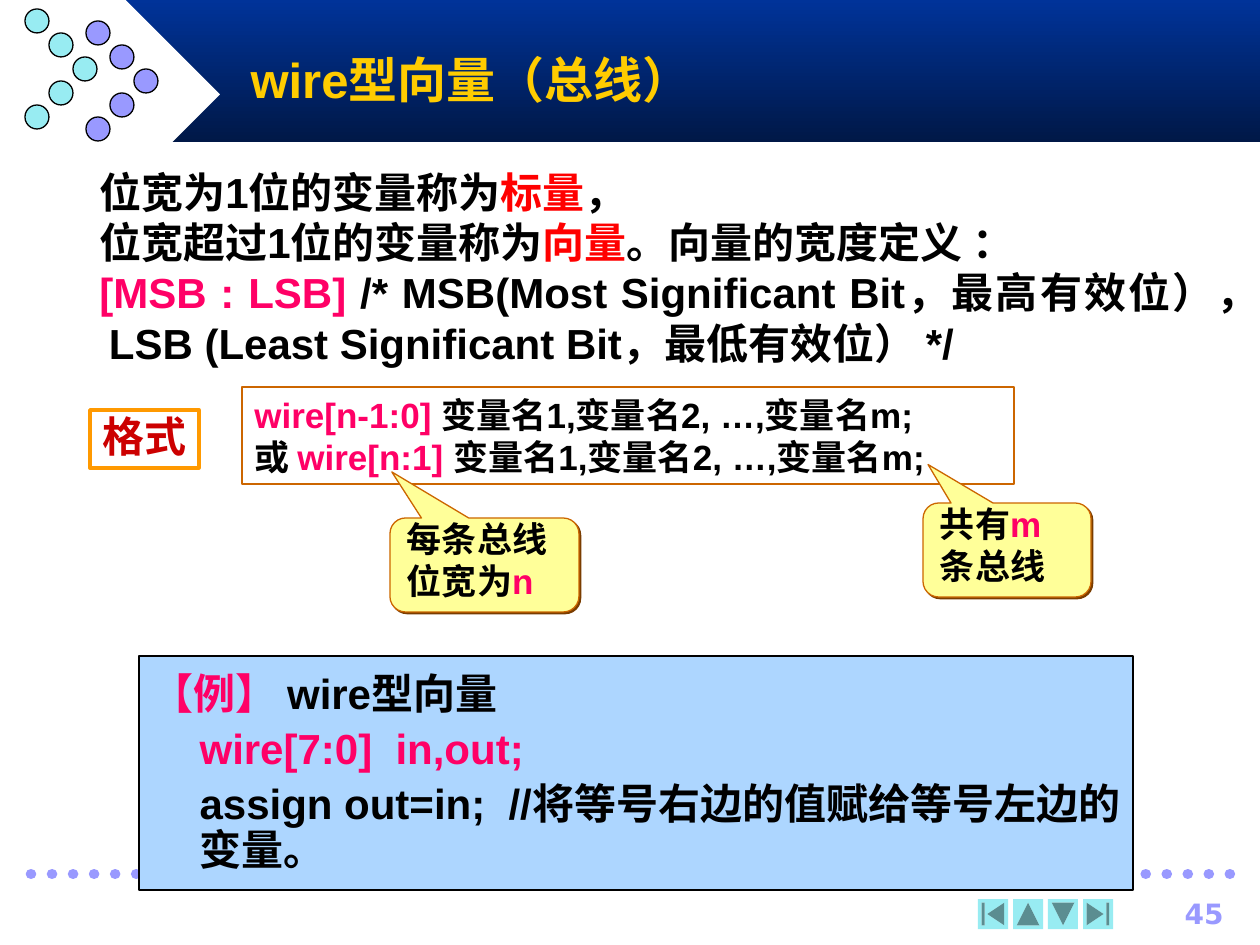
from lxml.etree import SubElement
from pptx import Presentation
from pptx.dml.color import RGBColor
from pptx.enum.dml import MSO_LINE
from pptx.enum.shapes import MSO_CONNECTOR, MSO_SHAPE as Preset
from pptx.enum.text import MSO_ANCHOR as Anchor, MSO_AUTO_SIZE as AutoSize, PP_ALIGN as Align
from pptx.oxml.ns import qn
from pptx.util import Pt

SCALE = 914400 / 126
BLACK, PINK, RED = "000000", "FF0066", "FF0000"
TEAL, VIOLET, ORANGE, YELLOW = "98ECF2", "9999FF", "CC6600", "FFFF99"

TITLE = "wire型向量（总线）"
INTRO = [
    [("位宽为1位的变量称为", BLACK), ("标量", RED), ("，", BLACK)],
    [("位宽超过1位的变量称为", BLACK), ("向量", RED), ("。向量的宽度定义 ：", BLACK)],
    [("[MSB : LSB] ", PINK),
     ("/* MSB(Most Significant Bit，最高有效位）， LSB (Least Significant Bit，最低有效位） */", BLACK)],
]
VARIABLES = ("变量名1,变量名2, …,变量名m;", BLACK)
FORMATS = [
    [("wire[n-1:0] ", PINK), VARIABLES],
    [("或 ", BLACK), ("wire[n:1] ", PINK), VARIABLES],
]
CALLOUTS = [
    ((390, 518, 189, 94), (-0.49, -0.99), [("每条总线位宽为", BLACK), ("n", PINK)]),
    ((923, 503, 168, 94), (-0.47, -0.91), [("共有", BLACK), ("m", PINK), ("条总线", BLACK)]),
]
EXAMPLE = [
    ([("【例】 ", PINK, "Times New Roman"), ("wire型向量", BLACK)],
     dict(align=Align.JUSTIFY, spacing=1.1, indent=-48)),
    ([("wire[7:0]  in,out;", PINK)], dict(align=Align.JUSTIFY, spacing=1.1)),
    ([("assign out=in;  //将等号右边的值赋给等号左边的变量。", BLACK)],
     dict(spacing=0.9, before=6)),
]
DOT_CHEVRONS = [(VIOLET, 86, 21), (TEAL, 25, 9)]
DOT_STEPS = [0, 1, 2, 1, 0]
BUTTONS = [
    (Preset.ACTION_BUTTON_BEGINNING, 0),
    (Preset.ACTION_BUTTON_BACK_OR_PREVIOUS, 90),
    (Preset.ACTION_BUTTON_FORWARD_OR_NEXT, 90),
    (Preset.ACTION_BUTTON_END, 0),
]


def px(value):
    return round(value * SCALE)


def color(value):
    return RGBColor.from_string(value)


def place(shape, left, top, width, height):
    shape.left, shape.top, shape.width, shape.height = map(px, (left, top, width, height))


def paint(shape, fill=None, line=None, width=0.75):
    if fill:
        shape.fill.solid()
        shape.fill.fore_color.rgb = color(fill)
    else:
        shape.fill.background()
    if line:
        shape.line.color.rgb = color(line)
        shape.line.width = Pt(width)
    else:
        shape.line.fill.background()


def add_shape(preset, box, **look):
    shape = slide.shapes.add_shape(preset, *map(px, box))
    shape.shadow.inherit = False
    paint(shape, **look)
    return shape


def write(paragraph, runs, size=24, font="Arial", align=Align.LEFT, spacing=1.0,
          before=0, margin=0, indent=0):
    properties = paragraph._p.get_or_add_pPr()
    properties.set("marL", str(px(margin)))
    properties.set("indent", str(px(indent)))
    SubElement(properties, qn("a:buNone"))
    paragraph.alignment = align
    paragraph.line_spacing = spacing
    paragraph.space_before = Pt(before)
    for text, fill, *own_font in runs:
        run = paragraph.add_run()
        run.text = text
        run.font.name = own_font[0] if own_font else font
        run.font.size = Pt(size)
        run.font.bold = True
        run.font.color.rgb = color(fill)


def fill_text(shape, paragraphs, anchor=Anchor.TOP, wrap=True, **text_format):
    frame = shape.text_frame
    frame.auto_size = AutoSize.NONE
    frame.word_wrap = wrap
    frame.vertical_anchor = anchor
    for index, runs in enumerate(paragraphs):
        paragraph = frame.add_paragraph() if index else frame.paragraphs[0]
        write(paragraph, runs, **text_format)


def add_text(box, paragraphs, **text_format):
    fill_text(slide.shapes.add_textbox(*map(px, box)), paragraphs, **text_format)


presentation = Presentation()
presentation.slide_width, presentation.slide_height = px(1260), px(945)
slide = presentation.slides.add_slide(presentation.slide_layouts[1])
title, body = slide.placeholders

banner = add_shape(Preset.RECTANGLE, (126, 0, 1134, 142))
banner.fill.gradient()
banner.fill.gradient_angle = 270
for stop, shade, position in zip(banner.fill.gradient_stops, ("003399", "001847"), (0, 1)):
    stop.color.rgb = color(shade)
    stop.position = position
add_shape(Preset.DIAMOND, (31, 0, 189, 189), fill="FFFFFF")
for shade, left, top in DOT_CHEVRONS:
    for row, step in enumerate(DOT_STEPS):
        add_shape(Preset.OVAL, (left + 24 * step, top + 24 * row, 24, 24), fill=shade, line=BLACK)

dotted_line = slide.shapes.add_connector(MSO_CONNECTOR.STRAIGHT, px(31), px(874), px(1239), px(874))
dotted_line.line.color.rgb = color(VIOLET)
dotted_line.line.width = Pt(6)
dotted_line.line.dash_style = MSO_LINE.ROUND_DOT
dotted_line.line._ln.set("cap", "rnd")
SubElement(dotted_line._element.spPr, qn("a:effectLst"))

for index, (preset, rotation) in enumerate(BUTTONS):
    add_shape(preset, (978 + 35 * index, 899, 30, 30), fill=TEAL).rotation = rotation
add_text((1116, 890, 120, 42), [[("45", VIOLET)]], size=16, font="DejaVu Sans", align=Align.RIGHT)

slide.shapes.element.append(title.element)
place(title, 238, 32, 1071, 93)
fill_text(title, [[(TITLE, "FFCC00")]], size=28, anchor=Anchor.MIDDLE)

format_box = add_shape(Preset.RECTANGLE, (242, 387, 772, 97), line=ORANGE)
fill_text(format_box, FORMATS, size=20, align=Align.JUSTIFY, anchor=Anchor.BOTTOM)

for box, tip, runs in CALLOUTS:
    callout = add_shape(Preset.ROUNDED_RECTANGULAR_CALLOUT, box, fill=YELLOW, line=ORANGE)
    callout.adjustments[0], callout.adjustments[1] = tip
    effects = callout._element.spPr.find(qn("a:effectLst"))
    shadow = SubElement(effects, qn("a:outerShdw"), dist=str(Pt(1.4)), dir="2700000")
    SubElement(shadow, qn("a:srgbClr"), val="7A3D00")
    fill_text(callout, [runs], size=20, anchor=Anchor.BOTTOM)

label = add_shape(Preset.RECTANGLE, (90, 410, 109, 58), line="FF9900", width=2)
fill_text(label, [[("格式", "CC0000")]], font="Noto Sans CJK JP", spacing=0.9, wrap=False)

slide.shapes.element.append(body.element)
place(body, 139, 656, 994, 234)
paint(body, fill="ADD6FF", line=BLACK)
body.text_frame.auto_size = AutoSize.NONE
for index, (runs, text_format) in enumerate(EXAMPLE):
    paragraph = body.text_frame.add_paragraph() if index else body.text_frame.paragraphs[0]
    write(paragraph, runs, margin=48, **text_format)

add_text((87, 160, 1142, 214), INTRO, align=Align.JUSTIFY)
presentation.save("out.pptx")
